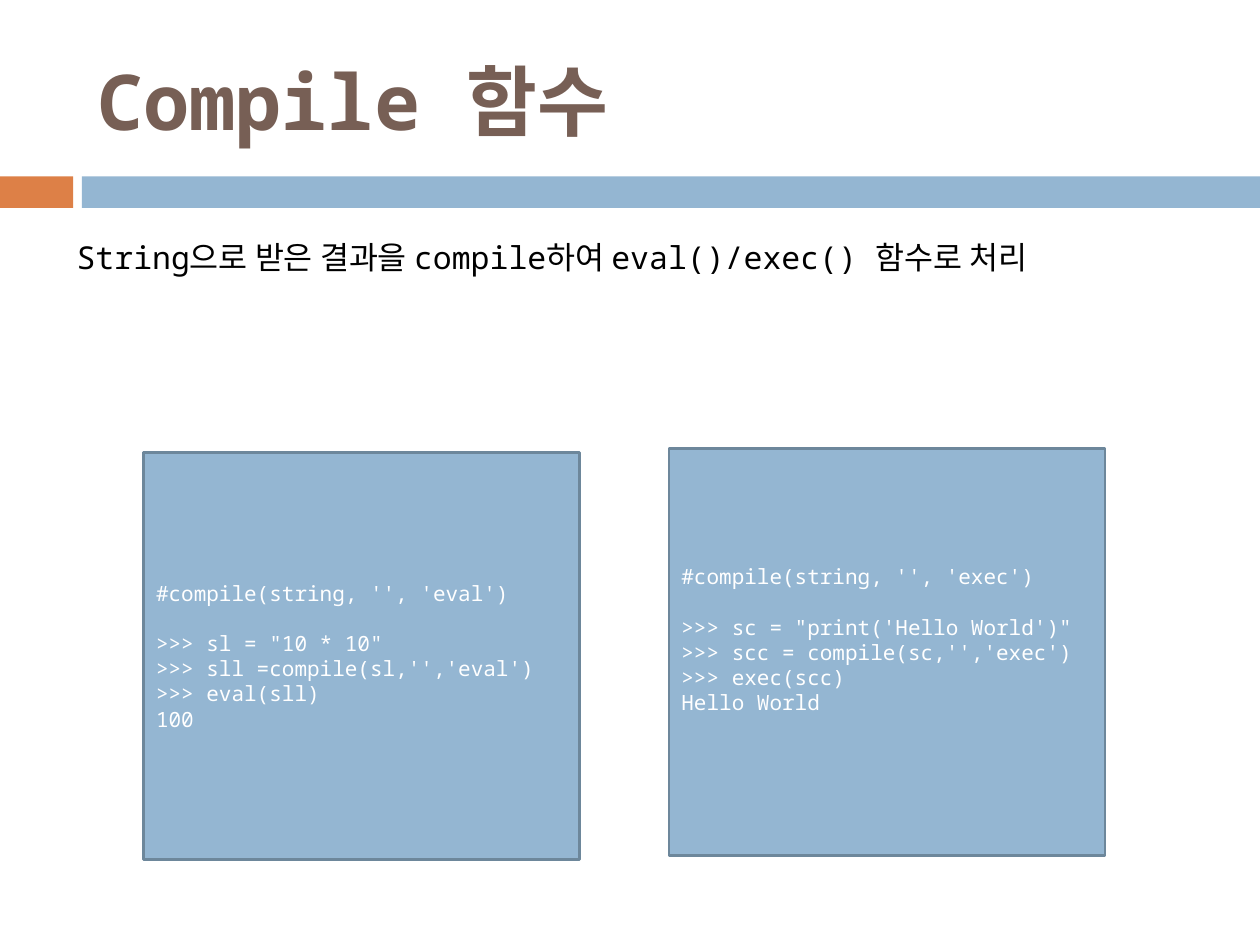
from pptx import Presentation
from pptx.dml.color import RGBColor
from pptx.enum.shapes import MSO_SHAPE
from pptx.enum.text import MSO_ANCHOR, MSO_AUTO_SIZE, PP_ALIGN
from pptx.util import Inches, Pt

COLORS = {
    "accent": "DD8047",
    "panel": "94B6D2",
    "border": "6D879B",
    "title": "775F55",
    "body": "000000",
    "code": "FFFFFF",
}
FONT = "Noto Sans Mono"
WIDTH, HEIGHT = 10, 7.5
BAND_TOP, BAND_HEIGHT = 1.4, 0.25
PANEL_WIDTH, PANEL_HEIGHT = 3.46, 3.23
CODE_SIZE = 12
CODE_LINE = 14.4

EVAL_CODE = [
    "#compile(string, '', 'eval')\u00a0",
    '>>> sl = "10 * 10"',
    ">>> sll =compile(sl,'','eval')",
    ">>> eval(sll) ",
    "100",
]
EXEC_CODE = [
    "#compile(string, '', 'exec')",
    ">>> sc = \"print('Hello World')\"",
    ">>> scc = compile(sc,'','exec')",
    ">>> exec(scc)",
    "Hello World",
]


def color(name):
    return RGBColor.from_string(COLORS[name])


def format_text(text_frame, size, color_name, bold=False):
    for paragraph in text_frame.paragraphs:
        paragraph.alignment = PP_ALIGN.LEFT
        for run in paragraph.runs:
            run.font.name = FONT
            run.font.size = Pt(size)
            run.font.bold = bold
            run.font.color.rgb = color(color_name)


def add_rectangle(slide, left, top, width, height, fill, border=None):
    shape = slide.shapes.add_shape(
        MSO_SHAPE.RECTANGLE, Inches(left), Inches(top), Inches(width), Inches(height)
    )
    shape.shadow.inherit = False
    shape.fill.solid()
    shape.fill.fore_color.rgb = color(fill)
    if border:
        shape.line.color.rgb = color(border)
        shape.line.width = Pt(1.5)
    else:
        shape.line.fill.background()
    return shape


def set_title(slide, text):
    title = slide.shapes.title
    title.left, title.top = Inches(0.67), Inches(0.25)
    title.width, title.height = Inches(8.92), Inches(1.08)
    text_frame = title.text_frame
    text_frame.text = text
    text_frame.auto_size = MSO_AUTO_SIZE.NONE
    text_frame.vertical_anchor = MSO_ANCHOR.MIDDLE
    format_text(text_frame, 44, "title", bold=True)


def add_description(slide, text):
    box = slide.shapes.add_textbox(Inches(0.51), Inches(1.78), Inches(9), Inches(0.79))
    text_frame = box.text_frame
    text_frame.word_wrap = True
    text_frame.text = text
    paragraph = text_frame.paragraphs[0]
    paragraph.line_spacing = 1.2
    paragraph.space_before = Pt(7)
    format_text(text_frame, 18, "body")


def add_code_panel(slide, left, top, lines, bottom_gap=0):
    panel = add_rectangle(
        slide, left, top, PANEL_WIDTH, PANEL_HEIGHT, "panel", "border"
    )
    text_frame = panel.text_frame
    text_frame.word_wrap = True
    text_frame.vertical_anchor = MSO_ANCHOR.MIDDLE
    text_frame.margin_bottom = Inches(0.05) + Pt(bottom_gap)
    text_frame.text = "\n".join(lines)
    text_frame.paragraphs[1].space_before = Pt(CODE_LINE)
    format_text(text_frame, CODE_SIZE, "code")


def main():
    presentation = Presentation()
    presentation.slide_width = Inches(WIDTH)
    presentation.slide_height = Inches(HEIGHT)
    slide = presentation.slides.add_slide(presentation.slide_layouts[5])

    for left, right, fill in [(0, 0.58, "accent"), (0.65, WIDTH, "panel")]:
        add_rectangle(slide, left, BAND_TOP, right - left, BAND_HEIGHT, fill)
    set_title(slide, "Compile 함수")
    add_description(slide, "String으로 받은 결과을 compile하여 eval()/exec() 함수로 처리")
    add_code_panel(slide, 1.14, 3.59, EVAL_CODE)
    add_code_panel(slide, 5.31, 3.56, EXEC_CODE, bottom_gap=CODE_LINE)

    presentation.save("out.pptx")


main()
